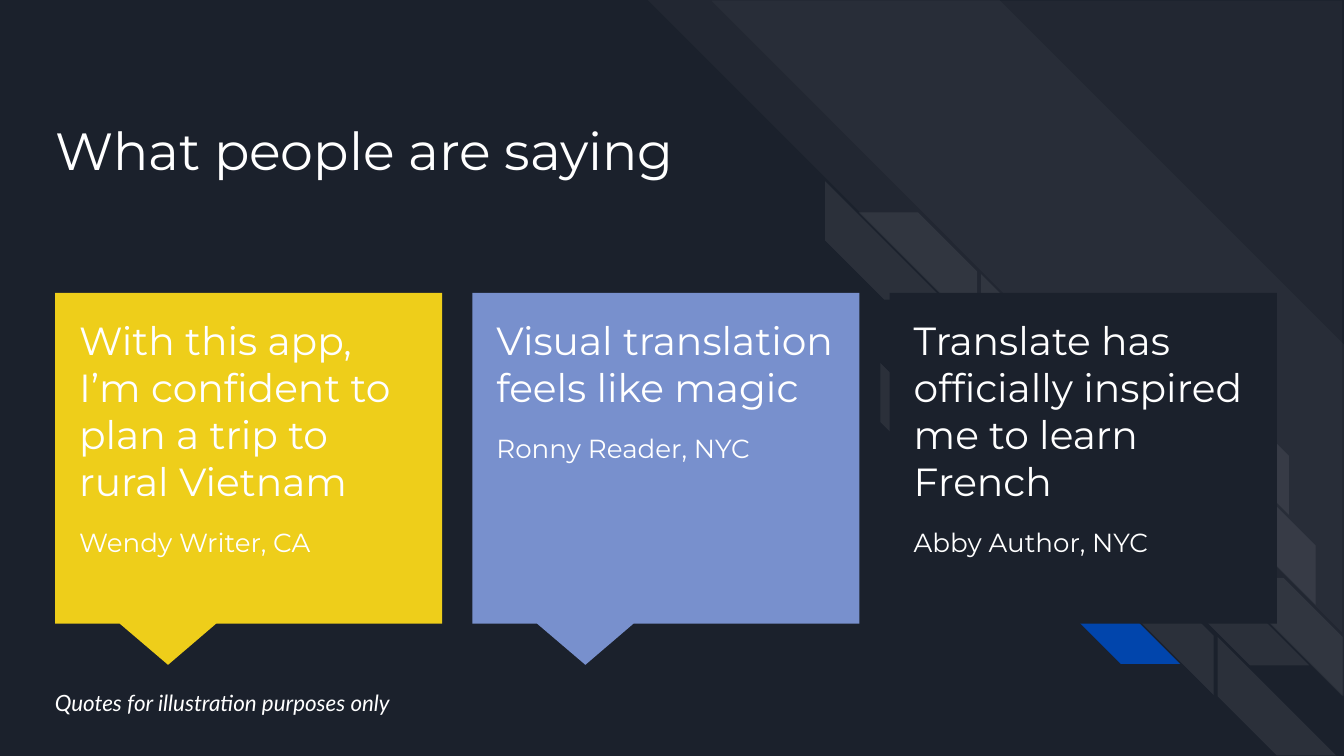
"""Build the testimonial slide with three quote callouts."""
from lxml import etree
from pptx import Presentation
from pptx import util as u
from pptx.dml import color
from pptx.enum import shapes, text
from pptx.oxml import ns

NAVY, WHITE, BLUE, GREEN = "1B212C", "FFFFFF", "0145AC", "82C7A5"
YELLOW, PERIWINKLE = "EECE1A", "7890CD"
STRIPE_SIZE = 0.88
PARTNER_OFFSET = (0.25, 0.23)
STRIPE_PAIRS = [
    (6.14, 1.35, WHITE, WHITE),
    (6.55, 2.70, WHITE, WHITE),
    (7.30, 2.04, WHITE, GREEN),
    (7.50, 2.71, WHITE, None),
    (8.46, 2.72, None, WHITE),
    (8.66, 3.39, None, WHITE),
    (7.71, 3.39, WHITE, WHITE),
    (7.90, 4.06, BLUE, WHITE),
    (8.86, 4.07, WHITE, WHITE),
    (9.06, 4.74, WHITE, None),
]
QUOTES = [
    ("With this app, I’m confident to plan a trip to rural Vietnam",
     "Wendy Writer, CA", YELLOW),
    ("Visual translation feels like magic", "Ronny Reader, NYC", PERIWINKLE),
    ("Translate has officially inspired me to learn French",
     "Abby Author, NYC", NAVY),
]
FIRST_LEFT, LAST_LEFT = 0.41, 6.62


def paint(fill, hex_color, opacity=100):
    """Apply a solid colour, with opacity in percent."""
    fill.solid()
    fill.fore_color.rgb = color.RGBColor.from_string(hex_color)
    if opacity < 100:
        srgb = fill._xPr.find(".//" + ns.qn("a:srgbClr"))
        etree.SubElement(srgb, ns.qn("a:alpha"), val=str(opacity * 1000))


def set_attributes(target, values):
    """Set every attribute named in a dict."""
    for name, value in values.items():
        setattr(target, name, value)


def add_shape(slide, kind, box, adjustments, hex_color, opacity=100):
    """Add a filled preset shape without outline or shadow."""
    shape = slide.shapes.add_shape(kind, *map(u.Inches, box))
    for index, value in enumerate(adjustments):
        shape.adjustments[index] = value
    paint(shape.fill, hex_color, opacity)
    shape.line.fill.background()
    shape.shadow.inherit = False
    return shape


def add_stripe(slide, box, adjustment, hex_color=WHITE, opacity=100,
               rotation=0, flipped=False):
    """Add a diagonal stripe, turned or mirrored."""
    stripe = add_shape(slide, shapes.MSO_SHAPE.DIAGONAL_STRIPE, box,
                       [adjustment], hex_color, opacity)
    stripe.rotation = rotation
    if flipped:
        stripe.element.spPr.find(ns.qn("a:xfrm")).set("flipH", "1")


def add_stripe_pattern(slide):
    """Draw the large bands and the small stripe pairs."""
    add_stripe(slide, (4.82, 0, 5.18, 5.18), 0.495, opacity=3, rotation=90)
    add_stripe(slide, (5.29, 0.01, 4.7, 4.69), 0, opacity=3, rotation=90)
    for left, top, first, second in STRIPE_PAIRS:
        across, down = PARTNER_OFFSET
        halves = [(left, top, first, 270, False),
                  (left + across, top + down, second, 0, True)]
        for x, y, hex_color, rotation, flipped in halves:
            if hex_color:
                add_stripe(slide, (x, y, STRIPE_SIZE, STRIPE_SIZE), 0.5,
                           hex_color, 7 if hex_color == WHITE else 100,
                           rotation, flipped)


def write_text(shape, lines, anchor=text.MSO_ANCHOR.TOP, space_after=0,
               font_name="Montserrat", italic=False):
    """Fill a text shape with (wording, size) paragraphs."""
    frame = shape.text_frame
    margins = ("margin_left", "margin_top", "margin_right", "margin_bottom")
    set_attributes(frame, dict.fromkeys(margins, u.Inches(0.1)))
    set_attributes(frame, {"word_wrap": True, "vertical_anchor": anchor,
                           "auto_size": text.MSO_AUTO_SIZE.NONE})
    for index, (wording, size) in enumerate(lines):
        paragraph = frame.add_paragraph() if index else frame.paragraphs[0]
        set_attributes(paragraph, {"alignment": text.PP_ALIGN.LEFT,
                                   "space_after": u.Pt(space_after)})
        run = paragraph.add_run()
        run.text = wording
        set_attributes(run.font, {"name": font_name, "size": u.Pt(size),
                                  "italic": italic})
        paint(run.font.fill, WHITE)


def add_title(slide, wording):
    """Place the title placeholder in front of the stripes."""
    title = slide.shapes.title
    box = {"left": 0.31, "top": 0.78, "width": 9.43, "height": 1.12}
    set_attributes(title, {name: u.Inches(size) for name, size in box.items()})
    title.element.getparent().append(title.element)
    write_text(title, [(wording, 28)])


def add_text_box(slide, box, lines, **styles):
    """Add a text box with styled paragraphs."""
    write_text(slide.shapes.add_textbox(*map(u.Inches, box)), lines, **styles)


def add_quote(slide, left, quote, speaker, hex_color):
    """Add a callout with a quote and its speaker."""
    add_shape(slide, shapes.MSO_SHAPE.RECTANGULAR_CALLOUT,
              (left, 2.18, 2.88, 2.46), [-0.208, 0.625], hex_color)
    add_text_box(slide, (left + 0.08, 2.25, 2.71, 2.19),
                 [(quote, 21), (speaker, 14)], space_after=12)


def main():
    """Build and save the slide."""
    presentation = Presentation()
    width = u.Inches(10)
    set_attributes(presentation, {"slide_width": width,
                                  "slide_height": width * 9 // 16})
    slide = presentation.slides.add_slide(presentation.slide_layouts[5])
    paint(slide.background.fill, NAVY)
    add_stripe_pattern(slide)
    add_title(slide, "What people are saying")
    pitch = (LAST_LEFT - FIRST_LEFT) / (len(QUOTES) - 1)
    for index, quote in enumerate(QUOTES):
        add_quote(slide, FIRST_LEFT + index * pitch, *quote)
    add_text_box(slide, (0.31, 5.09, 6.83, 0.28),
                 [("Quotes for illustration purposes only", 12)],
                 anchor=text.MSO_ANCHOR.MIDDLE, font_name="Lato", italic=True)
    presentation.save("out.pptx")


if __name__ == "__main__":
    main()
